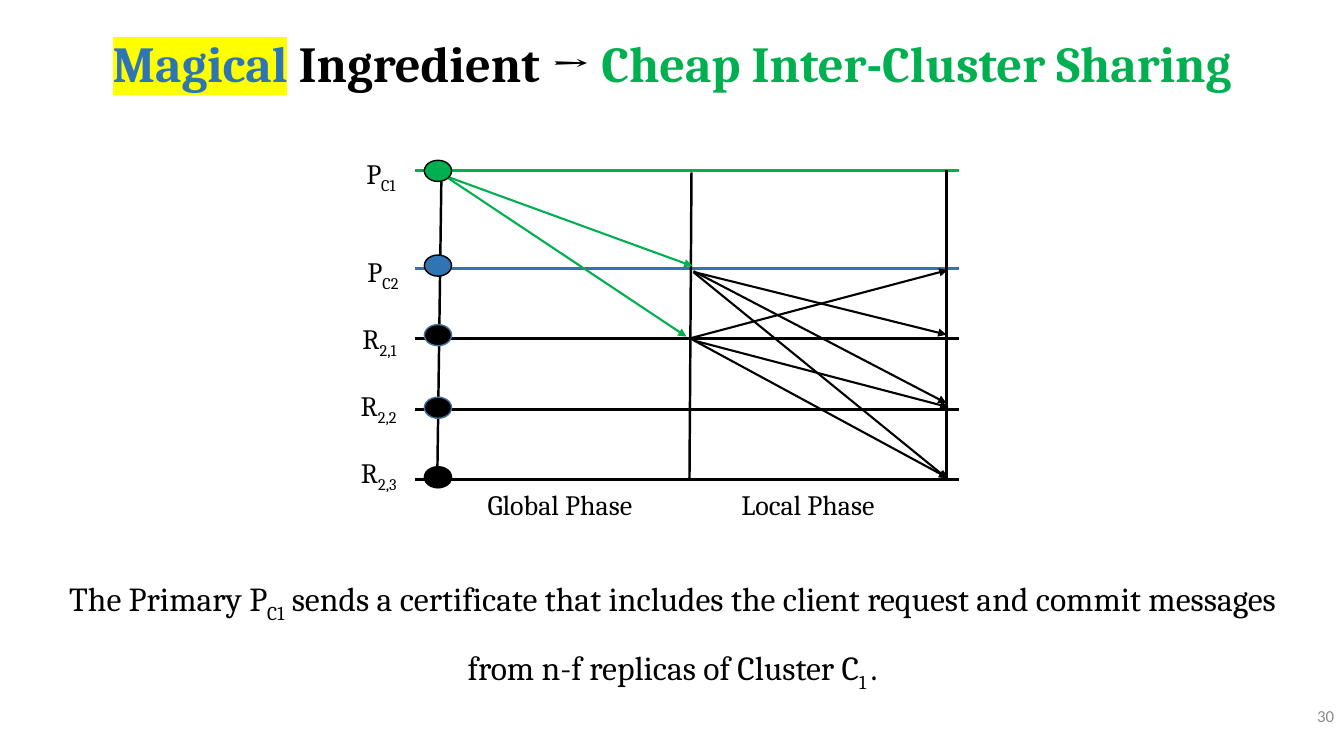
from lxml.etree import SubElement
from pptx import Presentation
from pptx.dml.color import RGBColor
from pptx.enum.shapes import MSO_CONNECTOR, MSO_SHAPE
from pptx.enum.text import MSO_ANCHOR, MSO_AUTO_SIZE, PP_ALIGN
from pptx.oxml.ns import qn
from pptx.util import Inches, Pt

BLACK, GREEN, BLUE = "000000", "00B050", "2E75B6"
COLUMNS, ROWS = 40, 30


def rgb(value):
    return RGBColor.from_string(value)


class Board:
    def __init__(self, deck):
        self.slide = deck.slides.add_slide(deck.slide_layouts[6])
        self.column = deck.slide_width / COLUMNS
        self.row = deck.slide_height / ROWS
        self.face = "Cambria"

    def place(self, *cells):
        units = (self.column, self.row) * 2
        return [round(cell * unit) for cell, unit in zip(cells, units)]

    def text(self, box, runs, size, align=PP_ALIGN.CENTER, wrap=True, spacing=None,
             bold=None, face=None, middle=False, grow=True):
        frame = self.slide.shapes.add_textbox(*self.place(*box)).text_frame
        frame.word_wrap = wrap
        frame.auto_size = MSO_AUTO_SIZE.SHAPE_TO_FIT_TEXT if grow else MSO_AUTO_SIZE.NONE
        if middle:
            frame.vertical_anchor = MSO_ANCHOR.MIDDLE
        paragraph = frame.paragraphs[0]
        paragraph.alignment = align
        paragraph.line_spacing = spacing
        font = paragraph.font
        font.name, font.size, font.bold = face or self.face, Pt(size), bold
        for words, style in runs:
            run = paragraph.add_run()
            run.text = words
            run.font.color.rgb = rgb(style.get("color", BLACK))
            properties = run.font._element
            if style.get("subscript"):
                properties.set("baseline", "-25000")
            if "highlight" in style:
                mark = SubElement(properties, qn("a:highlight"))
                SubElement(mark, qn("a:srgbClr"), val=style["highlight"])

    def line(self, ends, color, width, arrow=False):
        connector = self.slide.shapes.add_connector(MSO_CONNECTOR.STRAIGHT, *self.place(*ends))
        connector.line.color.rgb = rgb(color)
        connector.line.width = Pt(width)
        if arrow:
            SubElement(connector.line._get_or_add_ln(), qn("a:tailEnd"), type="triangle")
        SubElement(connector._element.spPr, qn("a:effectLst"))

    def node(self, box, fill, outline):
        dot = self.slide.shapes.add_shape(MSO_SHAPE.OVAL, *self.place(*box))
        dot.shadow.inherit = False
        dot.fill.solid()
        dot.fill.fore_color.rgb = rgb(fill)
        dot.line.color.rgb = rgb(outline)
        dot.line.width = Pt(1)


SUB = {"subscript": True}
REPLICAS = [
    ("P", "C1", 10.23, 6, 6.76, 6.36, GREEN, BLACK),
    ("P", "C2", 10.32, 9.92, 10.64, 10.12, BLUE, BLACK),
    ("R", "2,1", 10.26, 12.56, 13.44, 12.88, BLACK, "43739E"),
    ("R", "2,2", 10.26, 15.24, 16.24, 15.76, BLACK, "43739E"),
    ("R", "2,3", 10.26, 17.88, 19.04, 18.52, BLACK, BLACK),
]
PHASE_BORDERS = [
    (13.14, 6.76, 13.02, 18.52),
    (20.58, 6.84, 20.52, 19.04),
    (28.17, 6.76, 28.17, 19),
]
MESSAGES = {
    GREEN: [(13.29, 7, 20.61, 10.56), (13.35, 7.08, 20.43, 13.36)],
    BLACK: [
        (20.61, 13.4, 28.2, 10.72),
        (20.64, 10.76, 28.17, 16),
        (20.64, 10.8, 28.2, 19),
        (20.67, 13.52, 28.23, 16.16),
        (20.61, 13.48, 28.2, 18.96),
        (20.67, 10.8, 28.17, 13.28),
    ],
}
PHASES = [("Global Phase", 13.92, 5.49), ("Local Phase", 21.54, 5.01)]


def main():
    deck = Presentation()
    deck.slide_width, deck.slide_height = Inches(13.33), Inches(7.5)
    board = Board(deck)

    board.text((0, 0.68, COLUMNS, 3.12), [
        ("Magical", {"color": BLUE, "highlight": "FFFF00"}),
        (" Ingredient → ", {}),
        ("Cheap Inter-Cluster Sharing", {"color": GREEN}),
    ], 36, spacing=1.2, bold=True, middle=True)

    for letter, index, left, top, level, _, color, _ in REPLICAS:
        board.line((12.36, level, 28.53, level), color, 2.25)
        board.text((left, top, 1.84, 1.76), [(letter, {}), (index, SUB)], 20,
                   align=PP_ALIGN.RIGHT, wrap=False)
    for border in PHASE_BORDERS:
        board.line(border, BLACK, 1.75)
    for color, routes in MESSAGES.items():
        for route in routes:
            board.line(route, color, 1.5, arrow=True)
    for phase, left, width in PHASES:
        board.text((left, 19.16, width, 1.76), [(phase, {})], 20, wrap=False)
    for *_, dot_top, fill, outline in REPLICAS:
        board.node((12.63, dot_top, 0.81, 0.84), fill, outline)

    board.text((34.9, 27.6, 5.1, 1.6), [("30", {"color": "8C8C8C"})], 12,
               align=PP_ALIGN.RIGHT, face="Calibri", middle=True, grow=False)
    board.text((1.05, 21.84, 37.93, 5), [
        ("The Primary P", {}),
        ("C1", SUB),
        (" sends a certificate that includes the client request and commit messages "
         "from n-f replicas of Cluster C", {}),
        ("1 ", SUB),
        (".", {}),
    ], 24, spacing=1.5)

    deck.save("out.pptx")


if __name__ == "__main__":
    main()
